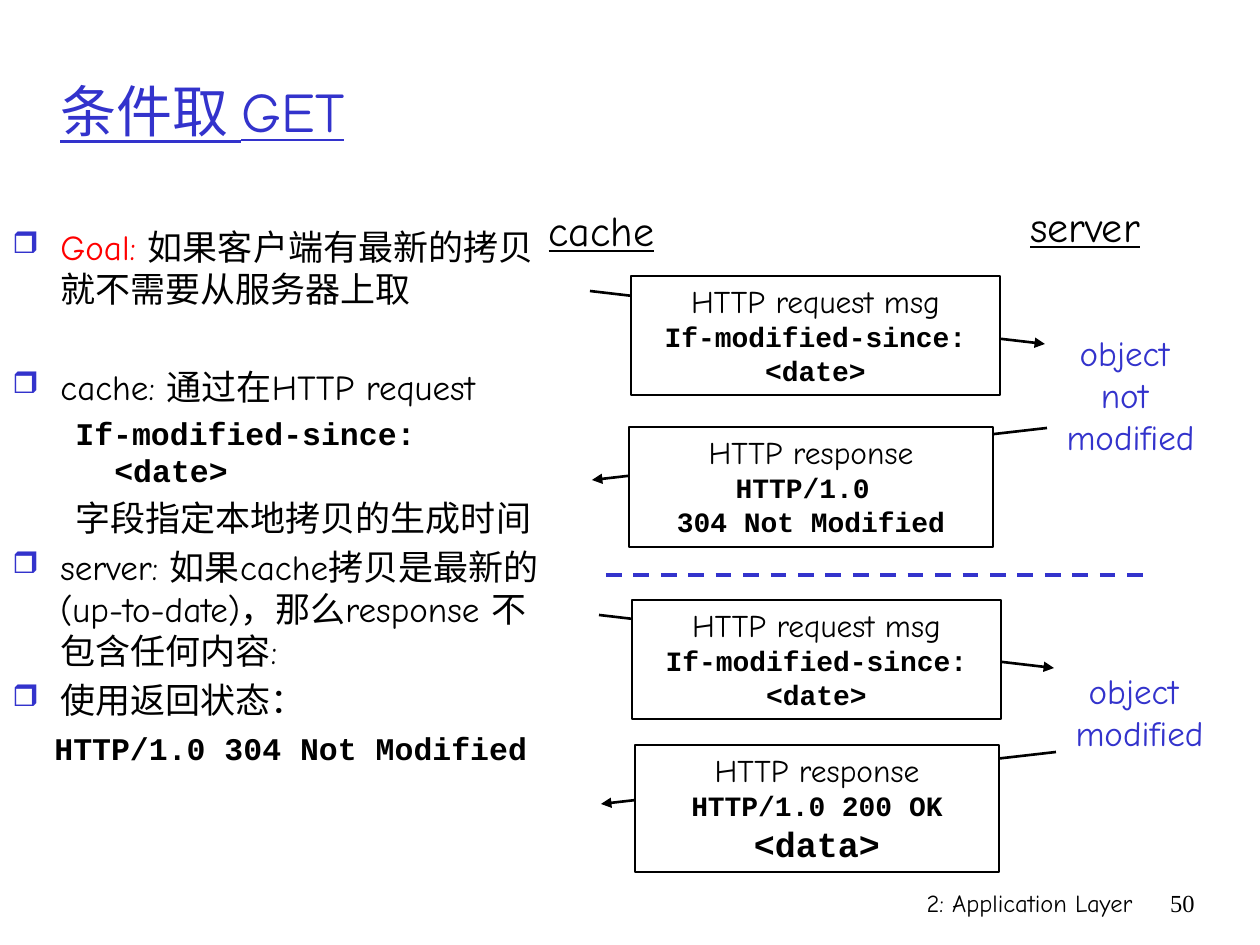
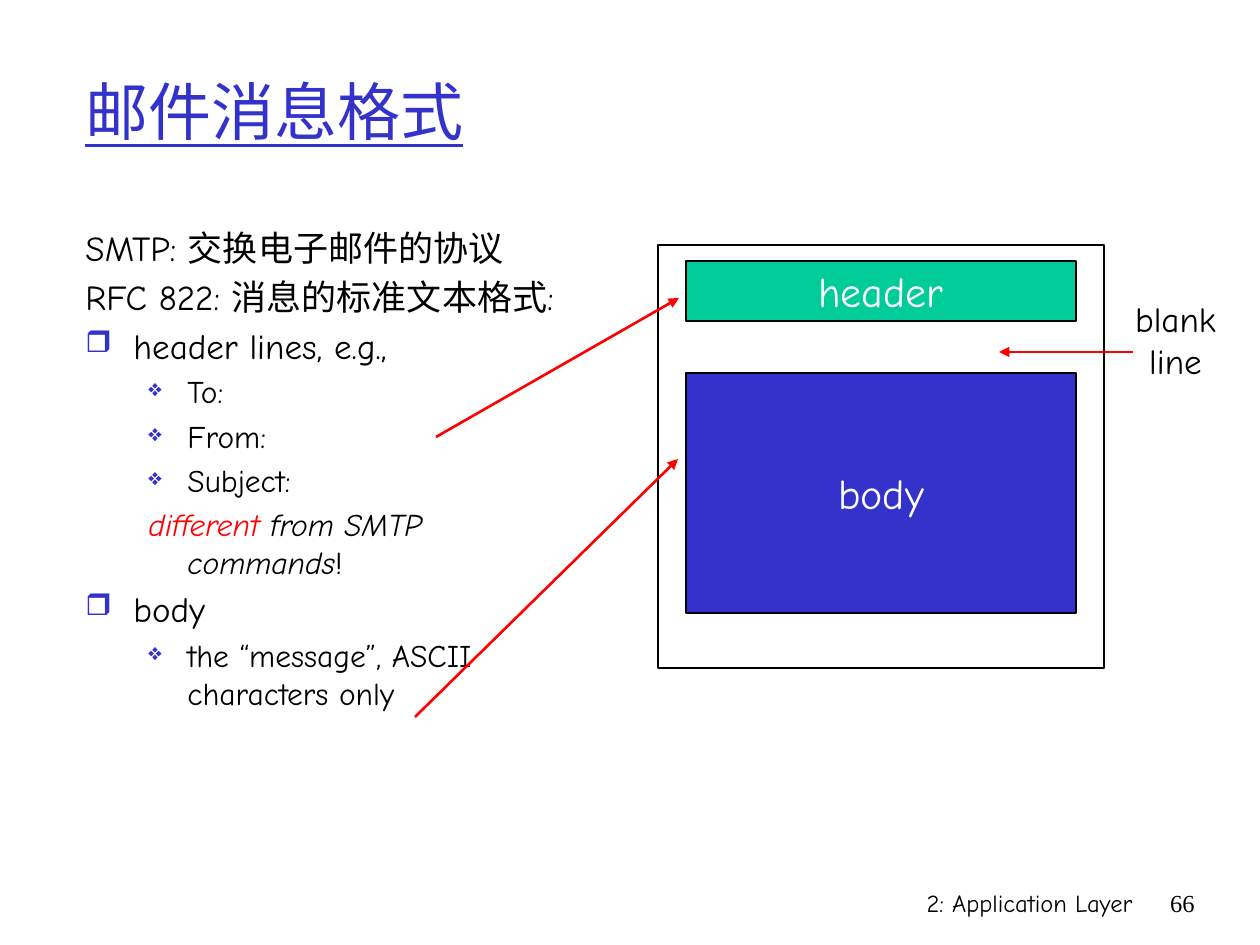
from dataclasses import dataclass

from lxml import etree
from pptx import Presentation
from pptx import util as u
from pptx.dml.color import RGBColor
from pptx.enum import dml, shapes, text
from pptx.oxml.ns import qn

EMU_PER_PX = 914400 / 126


@dataclass(frozen=True)
class Theme:
    sans: str = "Comic Neue"
    mono: str = "Courier New"
    serif: str = "Times New Roman"
    black: str = "000000"
    white: str = "FFFFFF"
    blue: str = "3333CC"
    red: str = "FF0000"
    green: str = "00CC99"
    title: int = 36
    title_mixed: int = 32
    heading: int = 24
    body: int = 20
    sub: int = 18
    code: int = 16
    footer: int = 14
    thin: float = 0.75
    frame: float = 1
    arrow: float = 1.5
    divider: float = 2.25


T = Theme()
CENTER, RIGHT = text.PP_ALIGN.CENTER, text.PP_ALIGN.RIGHT
TOP, MIDDLE = text.MSO_ANCHOR.TOP, text.MSO_ANCHOR.MIDDLE
SQUARE = dict(bullet="❒", bullet_size=85, margin=48, indent=-48)
PLAIN = dict(margin=48, indent=-48)
SUB = dict(margin=102, indent=-39, size=T.sub)
DIAMOND = dict(SUB, bullet="❖", bullet_size=75)
CODE = dict(font=T.mono, bold=True, size=T.code)


def px(n):
    return u.Emu(round(n * EMU_PER_PX))


def rgb(color):
    return RGBColor.from_string(color)


def write(tf, content, size=T.body, font=T.sans, color=T.black, bold=False,
          italic=False, underline=False, align=None, before=0, margin=0,
          indent=0, bullet=None, bullet_size=100):
    p = tf.paragraphs[0]
    if p.runs:
        p = tf.add_paragraph()
    pPr = p._p.get_or_add_pPr()
    pPr.set("marL", str(px(margin)))
    pPr.set("indent", str(px(indent)))
    if bullet:
        tint = etree.SubElement(pPr, qn("a:buClr"))
        etree.SubElement(tint, qn("a:srgbClr"), val=T.blue)
        etree.SubElement(pPr, qn("a:buSzPct"), val=str(bullet_size * 1000))
        etree.SubElement(pPr, qn("a:buChar"), char=bullet)
    else:
        etree.SubElement(pPr, qn("a:buNone"))
    p.alignment = align
    p.space_before = u.Pt(before)
    for part in [content] if isinstance(content, str) else content:
        words, own = (part, {}) if isinstance(part, str) else part
        r = p.add_run()
        r.text = words
        r.font.size = u.Pt(size)
        r.font.name = font
        r.font.bold = bold
        r.font.italic = own.get("italic", italic)
        r.font.underline = underline
        r.font.color.rgb = rgb(own.get("color", color))


def write_all(tf, lines, **common):
    for content, fmt in lines:
        write(tf, content, **{**common, **fmt})


def text_box(s, box, lines, wrap=True, anchor=TOP, **common):
    tf = s.shapes.add_textbox(*map(px, box)).text_frame
    tf.word_wrap = wrap
    tf.vertical_anchor = anchor
    write_all(tf, lines, **common)


def rect(s, box, lines=(), fill=None, line=T.thin, anchor=TOP, wrap=True, **common):
    sp = s.shapes.add_shape(shapes.MSO_SHAPE.RECTANGLE, *map(px, box))
    sp.shadow.inherit = False
    if fill:
        sp.fill.solid()
        sp.fill.fore_color.rgb = rgb(fill)
    else:
        sp.fill.background()
    sp.line.color.rgb = rgb(T.black)
    sp.line.width = u.Pt(line)
    sp.text_frame.word_wrap = wrap
    sp.text_frame.vertical_anchor = anchor
    write_all(sp.text_frame, lines, align=CENTER, **common)


def connect(s, start, end, color=T.black, width=T.arrow, arrow=True, dash=None):
    c = s.shapes.add_connector(shapes.MSO_CONNECTOR.STRAIGHT,
                               *map(px, (*start, *end)))
    c.line.color.rgb = rgb(color)
    c.line.width = u.Pt(width)
    if dash:
        c.line.dash_style = dash
    if arrow:
        etree.SubElement(c.line._get_or_add_ln(), qn("a:tailEnd"), type="triangle")
    etree.SubElement(c._element.spPr, qn("a:effectLst"))


def base_slide(prs, title, left, size, number):
    s = prs.slides.add_slide(prs.slide_layouts[6])
    text_box(s, (746, 882, 399, 63), [("2: Application Layer", {})],
             size=T.footer, align=RIGHT)
    text_box(s, (1144, 882, 63, 63), [(str(number), {})],
             size=T.footer, font=T.serif, align=RIGHT)
    text_box(s, (left, 32, 1145 - left, 157), [(title, {})], anchor=MIDDLE,
             size=size, color=T.blue, underline=True)
    return s


def body_text(s, box, lines):
    spaced = [(content, {"before": fmt.get("size", T.body) / 5 if i else 0, **fmt})
              for i, (content, fmt) in enumerate(lines)]
    text_box(s, box, spaced)


def exchange(s, origin, request_x, reply_box, reply, verdict_y, verdict):
    x, y = origin
    connect(s, (x, y + 15), (x + 455, y + 68))
    rect(s, (x + request_x, y, 369, 119),
         [("HTTP request msg", {}), ("If-modified-since: <date>", CODE)],
         fill=T.white, size=T.sub)
    connect(s, (x + 457, y + 152), (x + 2, y + 204))
    dx, dy, w, h = reply_box
    rect(s, (x + dx, y + dy, w, h), [("HTTP response", {}), *reply],
         fill=T.white, size=T.sub)
    text_box(s, (x + 456, y + verdict_y, 169, 13 + 42 * len(verdict)),
             [(word, {}) for word in verdict], wrap=False,
             color=T.blue, align=CENTER)


def conditional_get(prs):
    s = base_slide(prs, "条件取 GET", 48, T.title_mixed, 50)
    body_text(s, (0, 219, 557, 593), [
        ([("Goal: ", {"color": T.red}),
          "如果客户端有最新的拷贝就不需要从服务器上取"], SQUARE),
        ("cache: 通过在HTTP request", dict(SQUARE, before=32)),
        ("If-modified-since: <date>", dict(SUB, font=T.mono, bold=True)),
        ("字段指定本地拷贝的生成时间", dict(SUB, size=T.body)),
        ("server: 如果cache拷贝是最新的(up-to-date)，那么response 不包含任何内容:", SQUARE),
        ("使用返回状态：", SQUARE),
        ("HTTP/1.0 304 Not Modified",
         dict(margin=42, font=T.mono, bold=True, size=T.sub, before=5)),
    ])
    for name, box in (("cache", (533, 198, 137, 63)), ("server", (1009, 194, 152, 63))):
        text_box(s, box, [(name, {})], wrap=False, size=T.heading,
                 underline=True, align=CENTER)
    exchange(s, (590, 276), 41, (39, 151, 364, 120),
             [("HTTP/1.0 ", CODE), ("304 Not Modified", CODE)],
             49, ["object ", "not ", "modified"])
    connect(s, (606, 575), (1144, 575), color=T.blue, width=T.divider,
            arrow=False, dash=dml.MSO_LINE.DASH)
    exchange(s, (599, 600), 33, (36, 145, 364, 127),
             [("HTTP/1.0 200 OK", CODE), ("<data>", dict(CODE, size=T.body))],
             63, ["object ", "modified"])


def message_diagram(s, box):
    x, y, w, h = box
    for name, top, height, fill in (("header", 16, 60, T.green),
                                    ("body", 128, 240, T.blue)):
        rect(s, (x + 28, y + top, w - 56, height), [(name, {})], fill=fill,
             anchor=MIDDLE, wrap=False, size=T.heading, color=T.white)
    rect(s, box, line=T.frame)
    for start, end in (((-222, 192), (21, 53)), ((-243, 472), (20, 214)),
                       ((475, 107), (341, 107))):
        connect(s, (x + start[0], y + start[1]), (x + end[0], y + end[1]),
                color=T.red)
    text_box(s, (x + 462, y + 46, 111, 97), [("blank", {}), ("line", {})],
             wrap=False, align=CENTER)


def mail_format(prs):
    s = base_slide(prs, "邮件消息格式", 73, T.title, 66)
    body_text(s, (73, 220, 520, 640), [
        ("SMTP: 交换电子邮件的协议", PLAIN),
        ("RFC 822: 消息的标准文本格式:", PLAIN),
        ("header lines, e.g.,", SQUARE),
        *((field, DIAMOND) for field in ("To:", "From:", "Subject:")),
        ([("different ", {"color": T.red}), "from SMTP commands",
          ("!", {"italic": False})], dict(SUB, italic=True)),
        ("body", SQUARE),
        ("the “message”, ASCII characters only", DIAMOND),
    ])
    message_diagram(s, (658, 245, 446, 423))


def main():
    prs = Presentation()
    prs.slide_width, prs.slide_height = px(1260), px(945)
    conditional_get(prs)
    mail_format(prs)
    prs.save("out.pptx")


if __name__ == "__main__":
    main()
